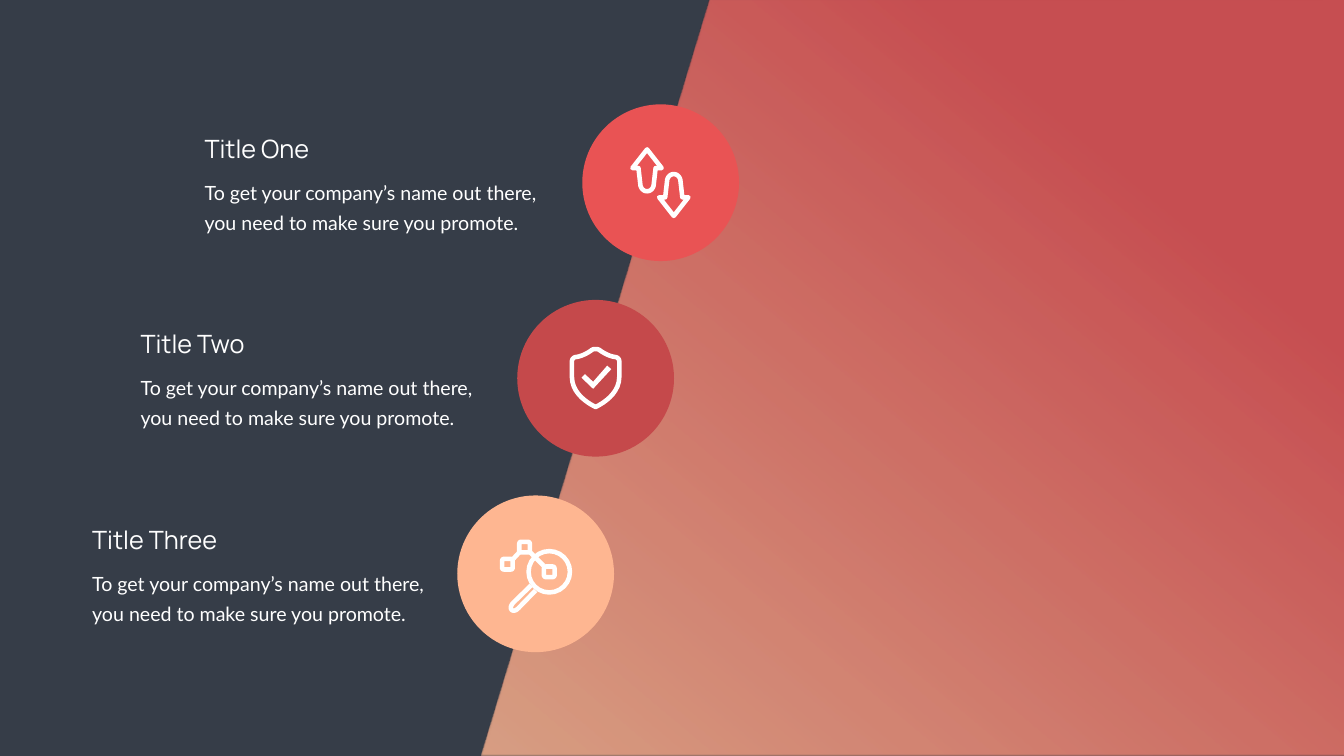
import pptx
import pptx.util
import pptx.dml.color
import pptx.enum.shapes
import pptx.enum.text
import pptx.oxml.ns
import pptx.oxml.xmlchemy

RGB = pptx.dml.color.RGBColor
DARK = RGB(0x36, 0x3D, 0x48)
WHITE = RGB(0xFF, 0xFF, 0xFF)
RED = RGB(0xE9, 0x53, 0x54)
WINE = RGB(0xC5, 0x49, 0x4B)
PEACH = RGB(0xFE, 0xB6, 0x91)
SCALE = 9144
SIZE = 311
STEP = 388
STROKE = 9
BODY = "To get your company’s name out there, you need to make sure you promote."
SHAPE = pptx.enum.shapes.MSO_SHAPE
qn = pptx.oxml.ns.qn


def px(n):
    return pptx.util.Emu(round(n * SCALE))


def child(node, tag, **attrs):
    item = node.makeelement(qn(tag), attrs)
    node.append(item)
    return item


def curve(a, b, c, d, steps=10):
    points = []
    for i in range(steps + 1):
        t = i / steps
        u = 1 - t
        mix = (u**3, 3 * u * u * t, 3 * u * t * t, t**3)
        points.append(tuple(sum(m * p[k] for m, p in zip(mix, (a, b, c, d))) for k in (0, 1)))
    return points


def mirror(half):
    return half + [(-x, y) for x, y in reversed(half)]


def outline(slide, points, x=0, y=0, close=True):
    spots = [(px(x + a), px(y + b)) for a, b in points]
    build = slide.shapes.build_freeform(*spots[0], scale=1.0)
    build.add_line_segments(spots[1:], close=close)
    shape = build.convert_to_shape()
    shape.shadow.inherit = False
    return shape


def fill(shape, color):
    shape.fill.solid()
    shape.fill.fore_color.rgb = color
    shape.line.fill.background()


def stroke(shape):
    shape.line.color.rgb = WHITE
    shape.line.width = px(STROKE)
    child(shape.line._get_or_add_ln(), "a:round")


def trace(slide, points, x=0, y=0, close=True):
    shape = outline(slide, points, x, y, close)
    shape.fill.background()
    stroke(shape)


def preset(slide, kind, x, y, size):
    shape = slide.shapes.add_shape(kind, px(x - size / 2), px(y - size / 2), px(size), px(size))
    shape.shadow.inherit = False
    return shape


def ring(slide, kind, x, y, size):
    shape = preset(slide, kind, x, y, size)
    shape.fill.background()
    stroke(shape)


def link(slide, x1, y1, x2, y2):
    line = slide.shapes.add_connector(
        pptx.enum.shapes.MSO_CONNECTOR.STRAIGHT, px(x1), px(y1), px(x2), px(y2))
    stroke(line)
    child(line._element.spPr, "a:effectLst")


def text(slide, words, x, y, wide, high, font, size, lead=None):
    box = slide.shapes.add_textbox(px(x), px(y), px(wide), px(high))
    frame = box.text_frame
    frame.word_wrap = True
    frame.auto_size = pptx.enum.text.MSO_AUTO_SIZE.SHAPE_TO_FIT_TEXT
    para = frame.paragraphs[0]
    if lead:
        para.line_spacing = pptx.util.Pt(lead)
    run = para.add_run()
    run.text = words
    run.font.name = font
    run.font.size = pptx.util.Pt(size)
    run.font.color.rgb = WHITE


def panel(slide):
    shape = outline(slide, [(2666, 1500), (956, 1500), (1409, 0), (2666, -2)])
    shape.fill.gradient()
    shape.fill.gradient_angle = 50
    for stop, spot, color in zip(shape.fill.gradient_stops, (0, 0.76), (PEACH, RED)):
        stop.position = spot
        stop.color.rgb = color
    for node in shape._element.spPr.findall(".//" + qn("a:srgbClr")):
        child(node, "a:alpha", val="80000")
    shape.line.fill.background()


def arrows(slide, x, y):
    half = [(0, -41), (29, -4), (17, -4)] + curve((13, 31), (11, 38), (6, 42), (0, 42))
    up = mirror(half)
    trace(slide, up, x - 27, y - 25)
    trace(slide, [(a, -b) for a, b in up], x + 26, y + 25)


def shield(slide, x, y):
    half = (curve((0, -58), (4, -58), (7, -57), (9, -55))
            + curve((9, -55), (19, -48), (30, -43), (40, -42))
            + curve((40, -42), (44, -41), (47, -38), (47, -33))
            + curve((47, -3), (47, 32), (12, 51), (0, 57)))
    trace(slide, mirror(half), x, y)
    check = outline(slide, [(-5, 7), (-21, -8), (-28, -1), (-5, 21), (31, -18), (23, -25)], x, y)
    fill(check, WHITE)


def lens(slide, x, y):
    ring(slide, SHAPE.OVAL, x + 27, y - 4, 82)
    for dx, dy in ((27, -4), (-22, -53), (-56, -19)):
        ring(slide, SHAPE.ROUNDED_RECTANGLE, x + dx, y + dy, 21)
    link(slide, x - 44, y - 30, x - 33, y - 42)
    link(slide, x - 10, y - 42, x + 16, y - 16)
    grip = [(-9, 23)] + curve((-44, 57), (-56, 69), (-45, 80), (-34, 68)) + [(0, 33)]
    trace(slide, grip, x, y, False)


def main():
    deck = pptx.Presentation()
    deck.slide_width, deck.slide_height = px(2666), px(1500)
    slide = deck.slides.add_slide(deck.slide_layouts[6])
    slide.background.fill.solid()
    slide.background.fill.fore_color.rgb = DARK
    panel(slide)
    rows = (("Title One", 396, 1155, RED, arrows),
            ("Title Two", 269, 1026, WINE, shield),
            ("Title Three", 173, 907, PEACH, lens))
    for i, (title, left, disc, color, icon) in enumerate(rows):
        top = 207 + STEP * i
        text(slide, BODY, left, top + 133, 745, 125, "Lato", 28, 43)
        text(slide, title, left, top + 52, 520, 71, "Manrope", 36)
        x, y = disc + SIZE / 2, top + SIZE / 2
        fill(preset(slide, SHAPE.OVAL, x, y, SIZE), color)
        icon(slide, x, y)
    deck.save("out.pptx")


if __name__ == "__main__":
    main()
